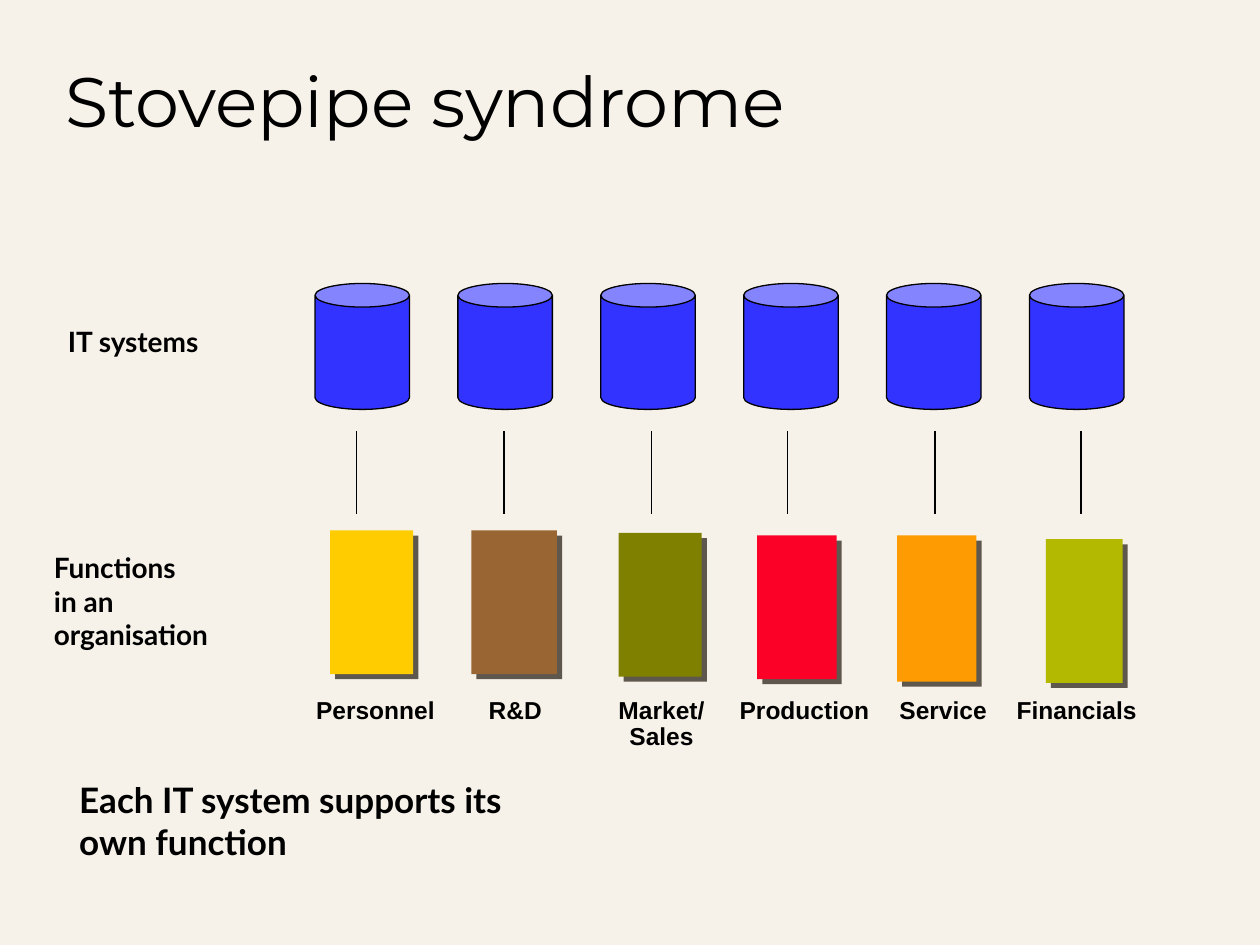
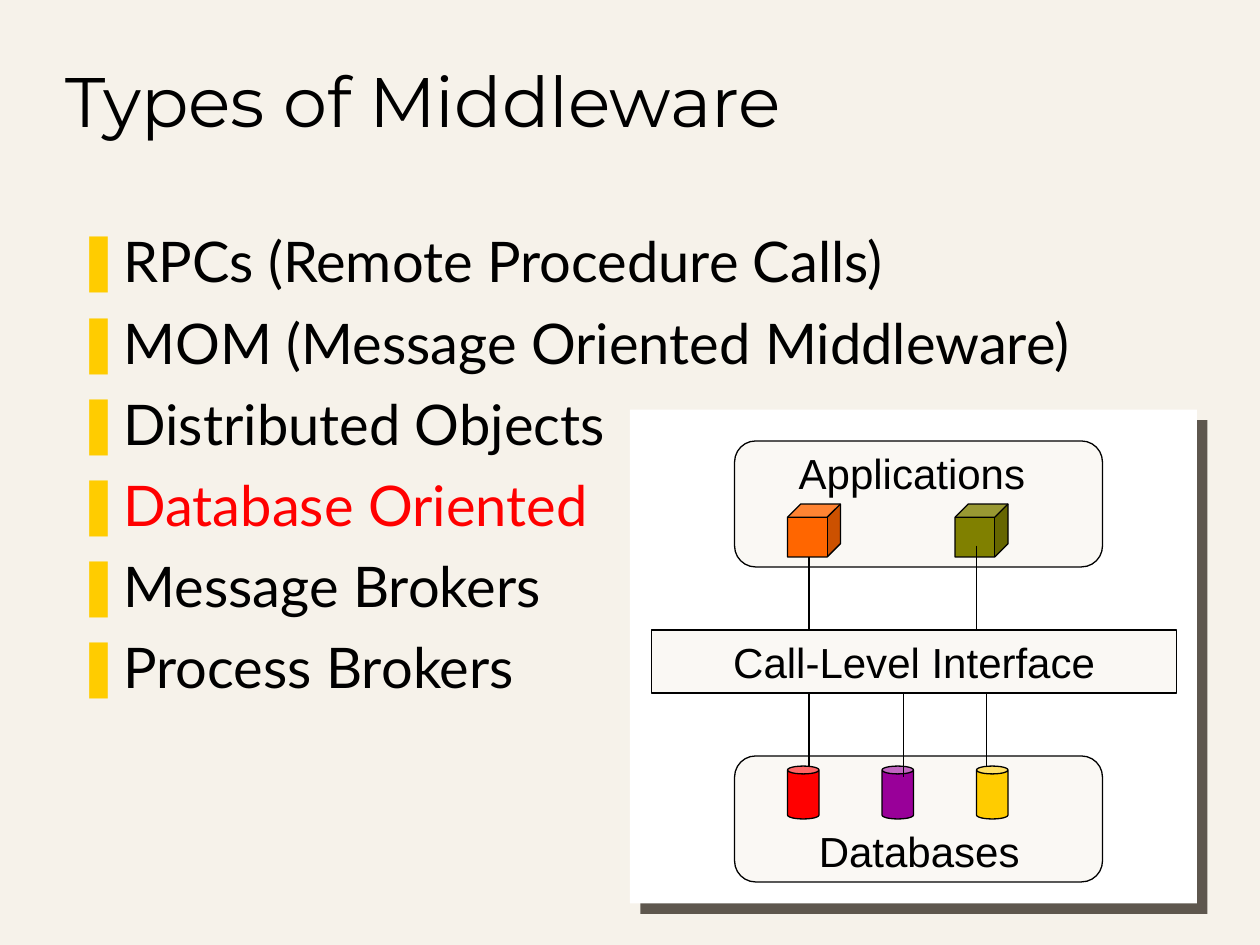
"""Build two slides on stovepipe systems and types of middleware."""
from dataclasses import dataclass
from lxml.etree import SubElement as Sub
from pptx import Presentation
from pptx.dml.color import RGBColor as Rgb
from pptx.enum.shapes import MSO_CONNECTOR as Link, MSO_SHAPE as Kind
from pptx.enum.text import MSO_ANCHOR as Anchor, MSO_AUTO_SIZE as Fit, PP_ALIGN as Align
from pptx.oxml.ns import qn
from pptx.util import Inches, Pt


@dataclass(frozen=True)
class Theme:
    back: str = "F6F2EA"
    ink: str = "000000"
    shade: str = "5E574E"
    panel: str = "FFFFFF"
    pale: str = "FAF8F4"
    gold: str = "FFCC00"
    red: str = "FF0000"
    blue: str = "3333FF"
    olive: str = "808000"
    head: str = "Montserrat"
    body: str = "Lato"
    plain: str = "Arial"
    title: int = 40
    bullet: int = 32
    layer: int = 24
    note: int = 20
    side: int = 16
    label: int = 14
    rule: float = 0.75


look = Theme()


def draw(home, kind, box, fill, drop=0):
    """Add a filled shape, outlined unless it drops a shadow of that many points."""
    shape = home.add_shape(kind, *map(Inches, box))
    shape.shadow.inherit = False
    shape.fill.solid()
    shape.fill.fore_color.rgb = Rgb.from_string(fill)
    if drop:
        shape.line.fill.background()
        effect = shape._element.spPr.find(qn("a:effectLst"))
        cast = Sub(effect, qn("a:outerShdw"), dist=str(Pt(drop)), dir="2700000",
                   algn="ctr", rotWithShape="0")
        Sub(cast, qn("a:srgbClr"), val=look.shade)
    else:
        shape.line.color.rgb = Rgb.from_string(look.ink)
        shape.line.width = Pt(look.rule)
    return shape


def write(shape, text, size, font, bold=False, align=Align.LEFT, wrap=False,
          anchor=Anchor.TOP, space=1.0):
    """Fill a shape with text, one paragraph to a line."""
    frame = shape.text_frame
    frame.text = text
    frame.auto_size = Fit.NONE
    frame.word_wrap = wrap
    frame.vertical_anchor = anchor
    for para in frame.paragraphs:
        para.alignment = align
        para.line_spacing = space
        para.space_before = Pt(0)
        para.font.size = Pt(size)
        para.font.name = font
        para.font.bold = bold
        para.font.color.rgb = Rgb.from_string(look.ink)


deck = Presentation()
deck.slide_width, deck.slide_height = Inches(10), Inches(7.5)
paper = deck.slide_master.background.fill
paper.solid()
paper.fore_color.rgb = Rgb.from_string(look.back)

pages = []
for index, text in ((5, "Stovepipe syndrome"), (1, "Types of Middleware")):
    page = deck.slides.add_slide(deck.slide_layouts[index])
    title = page.shapes.title
    title.left, title.top, title.width, title.height = map(Inches, (0.42, 0, 9.39, 1.17))
    write(title, text, look.title, look.head, wrap=True, anchor=Anchor.BOTTOM)
    pages.append(page)
pipes, types = pages

wires = []
units = (
    ("Personnel", 2.41, 1.14, (2.62, 4.21, 0.66, 1.14), look.gold, 2.83),
    ("R&D", 3.78, 0.62, (3.74, 4.21, 0.68, 1.14), "996633", 4),
    ("Market/\nSales", 4.81, 0.88, (4.91, 4.23, 0.66, 1.14), look.olive, 5.17),
    ("Production", 5.77, 1.23, (6.01, 4.25, 0.63, 1.14), "FC0128", 6.25),
    ("Service", 7.04, 0.89, (7.12, 4.25, 0.63, 1.16), "FE9B03", 7.42),
    ("Financials", 7.84, 1.41, (8.3, 4.28, 0.61, 1.14), "B3B900", 8.58),
)
step = (8.17 - 2.5) / (len(units) - 1)
for order, (name, left, width, block, fill, wire) in enumerate(units):
    draw(pipes.shapes, Kind.CAN, (2.5 + order * step, 2.25, 0.75, 1), look.blue)
    draw(pipes.shapes, Kind.RECTANGLE, block, fill, drop=4.2)
    high = 0.31 + 0.21 * name.count("\n")
    label = pipes.shapes.add_textbox(*map(Inches, (left, 5.49, width, high)))
    write(label, name, look.label, look.plain, True, Align.CENTER, space=0.9)
    wires.append((pipes.shapes, wire, 3.42, 4.08))

for text, box, size in (
    ("IT systems", (0.44, 2.53, 1.37, 0.37), look.side),
    ("Functions\nin an\norganisation", (0.33, 4.32, 1.61, 0.9), look.side),
    ("Each IT system supports its\nown function", (0.53, 6.13, 3.98, 0.77), look.note),
):
    write(pipes.shapes.add_textbox(*map(Inches, box)), text, size, look.body, True)

kinds = ("RPCs (Remote Procedure Calls)", "MOM (Message Oriented Middleware)",
         "Distributed Objects", "Database Oriented", "Message Brokers", "Process Brokers")
body = types.placeholders[1]
body.left, body.top, body.width, body.height = map(Inches, (0.5, 1.75, 8.94, 4.56))
frame = body.text_frame
frame.text = "\n".join(kinds)
frame.auto_size = Fit.NONE
for order, para in enumerate(frame.paragraphs):
    props = para._p.get_or_add_pPr()
    props.set("marL", str(Inches(0.38)))
    props.set("indent", str(-Inches(0.38)))
    Sub(Sub(props, qn("a:buClr")), qn("a:srgbClr"), val=look.gold)
    Sub(props, qn("a:buChar"), char="❚")
    para.space_before = Pt(8 if order else 0)
    para.font.size = Pt(look.bullet)
    para.font.name = look.body
    tint = look.red if para.text == "Database Oriented" else look.ink
    para.font.color.rgb = Rgb.from_string(tint)

stack = types.shapes.add_group_shape().shapes
draw(stack, Kind.RECTANGLE, (5, 3.25, 4.5, 3.92), look.panel, drop=8.5)
call = draw(stack, Kind.RECTANGLE, (5.17, 5, 4.17, 0.5), look.pale)
write(call, "Call-Level Interface", look.layer, look.plain,
      align=Align.CENTER, anchor=Anchor.MIDDLE)
for text, top, box in (("Applications", 3.5, (6.24, 3.5, 1.99, 0.5)),
                       ("Databases", 6, (6.4, 6.5, 1.79, 0.5))):
    draw(stack, Kind.ROUNDED_RECTANGLE, (5.83, top, 2.92, 1), look.pale)
    write(stack.add_textbox(*map(Inches, box)), text, look.layer, look.plain)
for left, fill in ((6.25, "FF6600"), (7.58, look.olive)):
    draw(stack, Kind.CUBE, (left, 4, 0.42, 0.42), fill)
for order, fill in enumerate((look.red, "990099", look.gold)):
    draw(stack, Kind.CAN, (6.25 + order * 0.75, 6.08, 0.25, 0.42), fill)

wires += [(stack, 6.42, 4.42, 5), (stack, 7.75, 4.33, 5), (stack, 6.42, 5.5, 6.08),
          (stack, 7.17, 5.5, 6.17), (stack, 7.83, 6.08, 5.5)]
for home, left, start, end in wires:
    wire = home.add_connector(Link.STRAIGHT, *map(Inches, (left, start, left, end)))
    wire.line.color.rgb = Rgb.from_string(look.ink)
    wire.line.width = Pt(look.rule)
    Sub(wire._element.spPr, qn("a:effectLst"))

deck.save("out.pptx")
